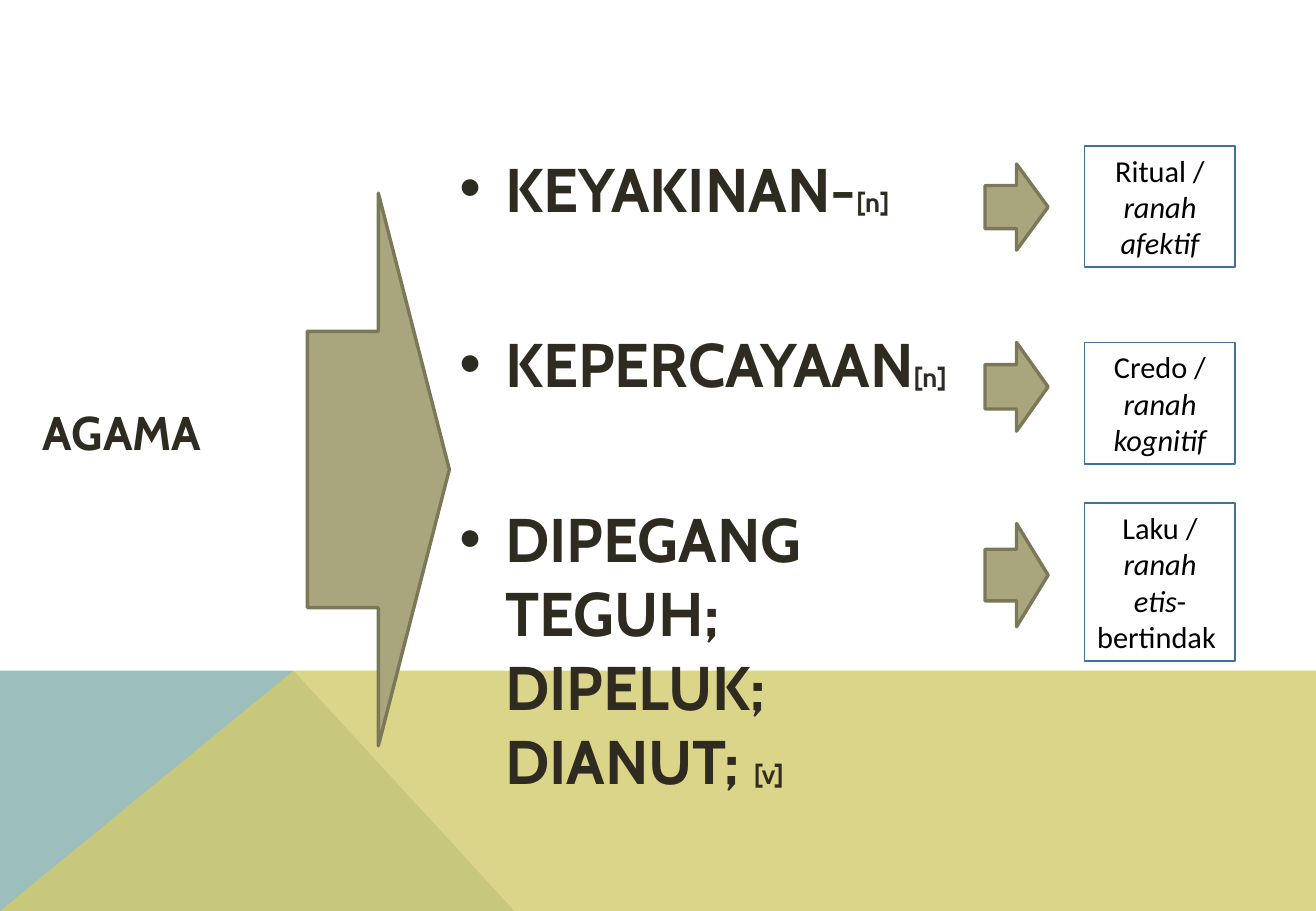
"""Build the slide that splits AGAMA into three meanings and their domains."""
from lxml import etree
from pptx import Presentation
from pptx.dml.color import RGBColor
from pptx.enum import shapes, text
from pptx.oxml import ns
from pptx.util import Pt

WIDTH, HEIGHT = 780.13, 540
INK = RGBColor(0x2F, 0x2B, 0x20)
BLACK = RGBColor(0, 0, 0)
WHITE = RGBColor(0xFF, 0xFF, 0xFF)
TEAL = RGBColor(0x9C, 0xBE, 0xBD)
YELLOW = RGBColor(0xD2, 0xCB, 0x6C)
OLIVE = RGBColor(0xA9, 0xA5, 0x7C)
DARK_OLIVE = RGBColor(0x7B, 0x78, 0x59)
BLUE = RGBColor(0x41, 0x71, 0x9C)

MEANINGS = [
    ("KEYAKINAN-", "[n]"),
    ("KEPERCAYAAN", "[n]"),
    ("DIPEGANG TEGUH; DIPELUK; DIANUT; ", "[v]"),
]
ARROWS = [(97.2, 51.1), (203, 52.6), (310.3, 61.2)]
DOMAINS = [
    (86.4, 72, "Ritual / ", "ranah afektif", ""),
    (203, 72, "Credo / ", "ranah kognitif", ""),
    (298.1, 93.6, "Laku / ", "ranah etis", "-bertindak "),
]


def add_span(para, words, size, font="Cabin", color=INK, bold=False, italic=False):
    """Append formatted text to a paragraph."""
    span = para.add_run()
    span.text = words
    span.font.name = font
    span.font.size = Pt(size)
    span.font.color.rgb = color
    span.font.bold = bold
    span.font.italic = italic


def set_frame(box, anchor, side, edge):
    """Set wrapping, anchor and margins of a box and return its text frame."""
    frame = box.text_frame
    frame.word_wrap = True
    frame.vertical_anchor = anchor
    frame.margin_left = frame.margin_right = Pt(side)
    frame.margin_top = frame.margin_bottom = Pt(edge)
    return frame


def add_text_box(page, left, top, width, height, anchor):
    """Add an empty text box and return its text frame."""
    box = page.shapes.add_textbox(Pt(left), Pt(top), Pt(width), Pt(height))
    return set_frame(box, anchor, 6, 3)


def add_polygon(page, points, color, opacity=100):
    """Add a closed borderless outline through the points."""
    start, *others = [(Pt(x), Pt(y)) for x, y in points]
    builder = page.shapes.build_freeform(*start)
    builder.add_line_segments(others, close=True)
    polygon = builder.convert_to_shape()
    polygon.shadow.inherit = False
    polygon.fill.solid()
    polygon.fill.fore_color.rgb = color
    polygon.line.fill.background()
    if opacity < 100:
        tint = polygon.fill._xPr.find(".//" + ns.qn("a:srgbClr"))
        etree.SubElement(tint, ns.qn("a:alpha"), val=str(opacity * 1000))


def add_arrow(page, left, top, width, height):
    """Add an olive block arrow pointing right."""
    arrow = page.shapes.add_shape(
        shapes.MSO_SHAPE.RIGHT_ARROW, Pt(left), Pt(top), Pt(width), Pt(height))
    arrow.shadow.inherit = False
    arrow.fill.solid()
    arrow.fill.fore_color.rgb = OLIVE
    arrow.line.color.rgb = DARK_OLIVE
    arrow.line.width = Pt(2)


def add_domain(page, top, height, term, domain, ending):
    """Add an outlined box naming a practice and its domain."""
    box = page.shapes.add_shape(
        shapes.MSO_SHAPE.RECTANGLE, Pt(643), Pt(top), Pt(89.3), Pt(height))
    box.shadow.inherit = False
    box.fill.background()
    box.line.color.rgb = BLUE
    box.line.width = Pt(1)
    frame = set_frame(box, text.MSO_ANCHOR.TOP, 7.2, 3.6)
    frame.auto_size = text.MSO_AUTO_SIZE.SHAPE_TO_FIT_TEXT
    para = frame.paragraphs[0]
    para.alignment = text.PP_ALIGN.CENTER
    for words, italic in ((term, False), (domain, True), (ending, False)):
        if words:
            add_span(para, words, 18, font="Calibri", color=BLACK, italic=italic)


def add_bullet(para):
    """Give a paragraph a hanging round bullet."""
    settings = para._p.get_or_add_pPr()
    settings.set("marL", str(Pt(27)))
    settings.set("indent", str(-Pt(27)))
    tone = etree.SubElement(settings, ns.qn("a:buClr"))
    etree.SubElement(tone, ns.qn("a:srgbClr"), val=str(INK))
    etree.SubElement(settings, ns.qn("a:buFont"), typeface="Arial")
    etree.SubElement(settings, ns.qn("a:buChar"), char="•")


def add_meanings(page):
    """Add the bulleted list of meanings."""
    frame = add_text_box(page, 266.4, 86.4, 316.8, 424, text.MSO_ANCHOR.TOP)
    for index, (meaning, word_class) in enumerate(MEANINGS):
        para = frame.add_paragraph() if index else frame.paragraphs[0]
        add_bullet(para)
        para.space_before = Pt(60 if index else 0)
        add_span(para, meaning, 36.5, bold=True)
        add_span(para, word_class, 16.1, bold=True)


def main():
    """Build and save the deck."""
    deck = Presentation()
    deck.slide_width, deck.slide_height = Pt(WIDTH), Pt(HEIGHT)
    page = deck.slides.add_slide(deck.slide_layouts[6])
    page.background.fill.solid()
    page.background.fill.fore_color.rgb = WHITE

    horizon, peak = 397.5, 174
    add_polygon(page, [(0, HEIGHT), (0, horizon), (peak, horizon), (305, HEIGHT)], TEAL)
    add_polygon(page, [(0, HEIGHT), (peak, horizon), (WIDTH, horizon), (WIDTH, HEIGHT)],
                YELLOW, opacity=80)

    title = add_text_box(page, 19.4, 213.1, 199.4, 85, text.MSO_ANCHOR.MIDDLE)
    add_span(title.paragraphs[0], "AGAMA", 28, bold=True)
    add_meanings(page)
    add_arrow(page, 182.2, 114.5, 84.2, 327.6)
    for top, height in ARROWS:
        add_arrow(page, 583.9, top, 37.4, height)
    for domain in DOMAINS:
        add_domain(page, *domain)
    deck.save("out.pptx")


if __name__ == "__main__":
    main()
